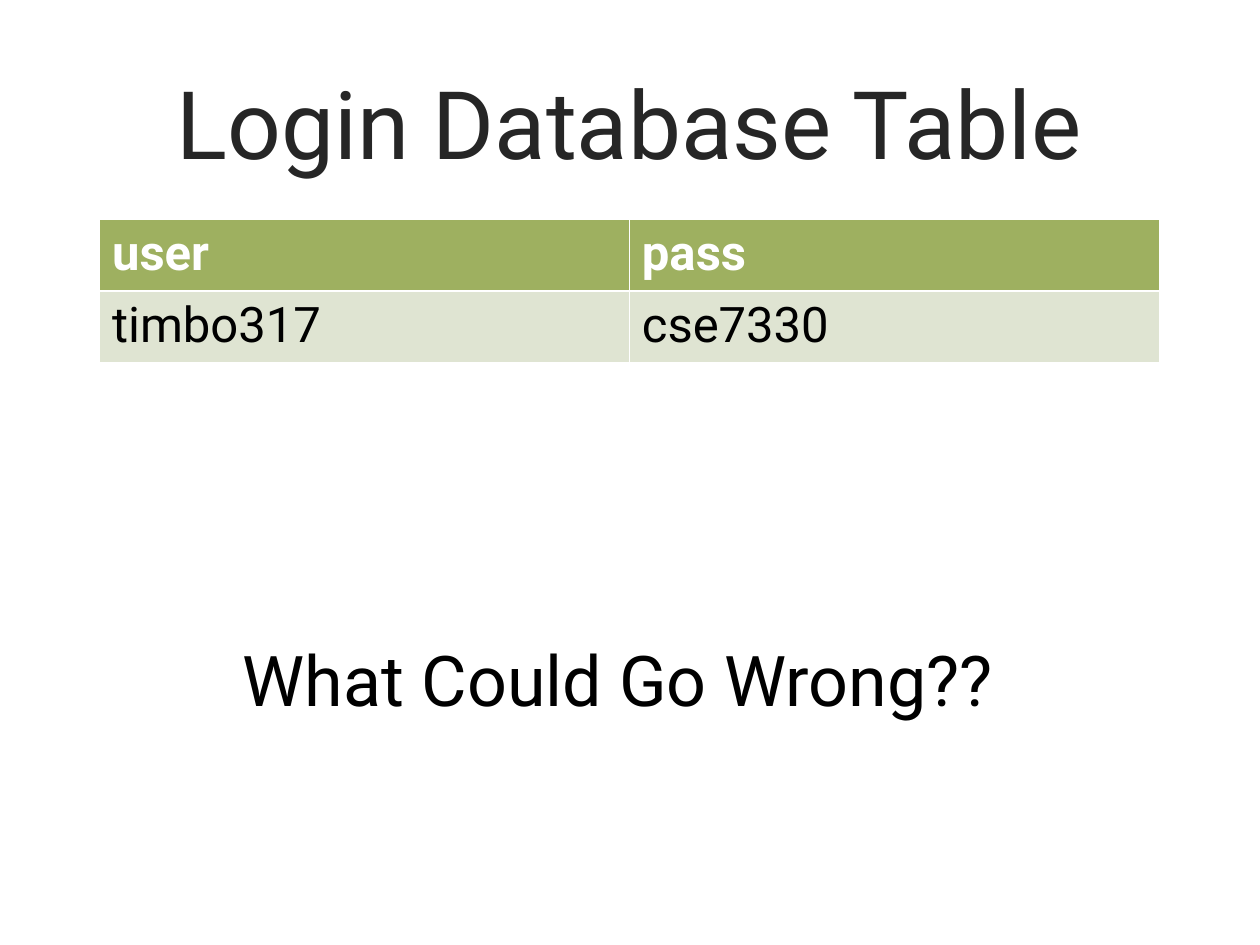
from lxml.etree import SubElement
from pptx import Presentation
from pptx.dml.color import RGBColor
from pptx.enum.text import MSO_ANCHOR, PP_ALIGN
from pptx.oxml.ns import qn
from pptx.util import Inches, Pt


def paint(code):
    return RGBColor.from_string(code)


def edge(cell, side, width):
    """Draw one white border; side is L, R, T or B."""
    line = SubElement(cell._tc.get_or_add_tcPr(), qn(f"a:ln{side}"), w=str(Pt(width)))
    fill = SubElement(line, qn("a:solidFill"))
    SubElement(fill, qn("a:srgbClr"), val="FFFFFF")


class Deck:
    font = "Roboto"
    head = ("9EB060", "FFFFFF")
    body = ("DFE4D2", "000000")

    def __init__(self, wide, high):
        self.file = Presentation()
        self.file.slide_width = Inches(wide)
        self.file.slide_height = Inches(high)
        self.slide = self.file.slides.add_slide(self.file.slide_layouts[6])

    def style(self, frame, size, color, bold=False):
        for run in frame.paragraphs[0].runs:
            run.font.name = self.font
            run.font.size = Pt(size)
            run.font.bold = bold
            run.font.color.rgb = paint(color)

    def text(self, words, box, size, color, align=PP_ALIGN.LEFT, anchor=MSO_ANCHOR.TOP):
        frame = self.slide.shapes.add_textbox(*map(Inches, box)).text_frame
        frame.word_wrap = True
        frame.vertical_anchor = anchor
        frame.text = words
        frame.paragraphs[0].alignment = align
        self.style(frame, size, color)

    def table(self, rows, box, size):
        grid = self.slide.shapes.add_table(len(rows), len(rows[0]), *map(Inches, box)).table
        for r, row in enumerate(rows):
            top = r == 0
            fill, color = self.head if top else self.body
            for c, words in enumerate(row):
                cell = grid.cell(r, c)
                cell.text = words
                self.style(cell.text_frame, size, color, bold=top)
                # Borders must come before the fill in the cell's XML.
                for side in "LRTB":
                    thick = side == ("B" if top else "T")
                    edge(cell, side, 1.47 if thick else 0.45)
                cell.fill.solid()
                cell.fill.fore_color.rgb = paint(fill)


def main():
    deck = Deck(10, 7.5)
    deck.text("Login Database Table", (0.79, 0.34, 8.41, 1.25), 54, "262626",
              PP_ALIGN.CENTER, MSO_ANCHOR.MIDDLE)
    deck.table([("user", "pass"), ("timbo317", "cse7330")], (0.79, 1.74, 8.41, 1.13), 28)
    deck.text("What Could Go Wrong??", (1.83, 5, 6.42, 1.44), 40, "000000")
    deck.file.save("out.pptx")


if __name__ == "__main__":
    main()
